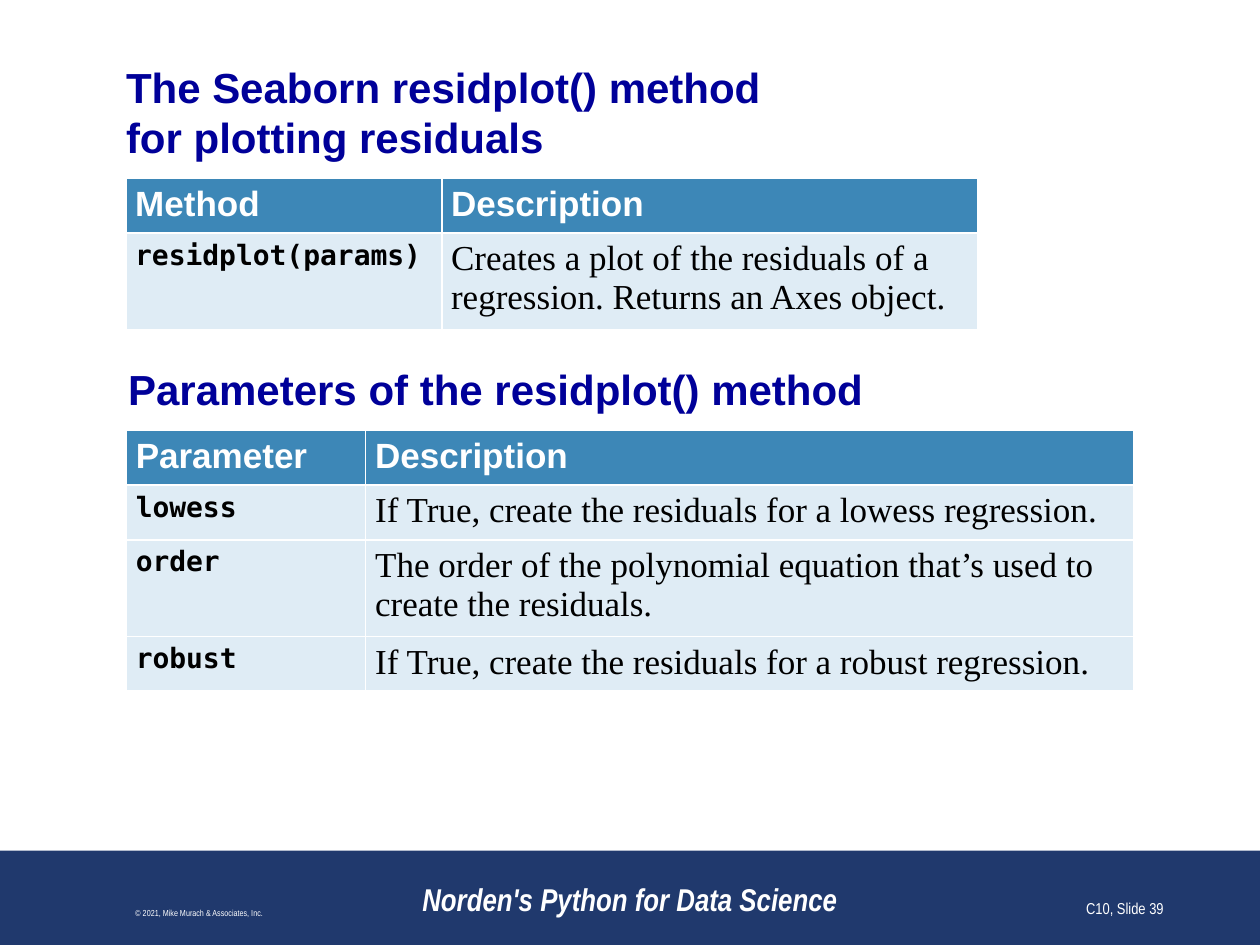
from lxml import etree
from pptx import Presentation
from pptx.dml.color import RGBColor
from pptx.enum.shapes import MSO_SHAPE
from pptx.enum.text import MSO_ANCHOR, MSO_AUTO_SIZE, PP_ALIGN
from pptx.oxml.ns import qn
from pptx.util import Pt

LEFT, CENTER, RIGHT = PP_ALIGN.LEFT, PP_ALIGN.CENTER, PP_ALIGN.RIGHT
TOP, MIDDLE, BOTTOM = MSO_ANCHOR.TOP, MSO_ANCHOR.MIDDLE, MSO_ANCHOR.BOTTOM
RECTANGLE = MSO_SHAPE.RECTANGLE
NO_AUTOFIT = MSO_AUTO_SIZE.NONE

COLORS = {"band": "20396D", "heading": "000099", "header": "3D87B7",
          "row": "DFECF5", "white": "FFFFFF", "black": "000000"}

FORMATS = {
    "heading": dict(name="Arial", size=Pt(24), bold=True, color="heading"),
    "header": dict(name="Arial", size=Pt(20), bold=True, color="white"),
    "code": dict(name="DejaVu Sans Mono", size=Pt(16), bold=True, color="black"),
    "text": dict(name="Times New Roman", size=Pt(20), bold=False, color="black"),
    "book": dict(name="Arial Narrow", size=Pt(18), bold=True, italic=True, color="white"),
    "copyright": dict(name="Arial Narrow", size=Pt(5), color="white"),
    "number": dict(name="Arial Narrow", size=Pt(9), color="white"),
}

METHOD_ROWS = [
    ("Method", "Description"),
    ("residplot(params)",
     "Creates a plot of the residuals of a regression. Returns an Axes object."),
]
PARAMETER_ROWS = [
    ("Parameter", "Description"),
    ("lowess", "If True, create the residuals for a lowess regression."),
    ("order", "The order of the polynomial equation that’s used to create the residuals."),
    ("robust", "If True, create the residuals for a robust regression."),
]


def color(name):
    return RGBColor.from_string(COLORS[name])


def paint(shape, name):
    shape.fill.solid()
    shape.fill.fore_color.rgb = color(name)


def write(frame, text, style, align=LEFT):
    frame.word_wrap = True
    para = frame.paragraphs[0]
    para.text = text
    para.alignment = align
    para.space_before = Pt(0)
    for span in para.runs:
        for key, value in FORMATS[style].items():
            if key == "color":
                span.font.color.rgb = color(value)
            else:
                setattr(span.font, key, value)
    return para


def place(shape, box):
    for key, value in zip(("left", "top", "width", "height"), box):
        setattr(shape, key, Pt(value))


def add_heading(holder, box, text, anchor, inset):
    """Move a placeholder into the box and write an unbulleted heading."""
    place(holder, box)
    frame = holder.text_frame
    frame.auto_size = NO_AUTOFIT
    frame.vertical_anchor = anchor
    for side, value in zip(("left", "top", "right", "bottom"), inset):
        setattr(frame, f"margin_{side}", Pt(value))
    para = write(frame, text, "heading")
    properties = para._p.get_or_add_pPr()
    properties.set("marL", "0")
    properties.set("indent", "0")
    etree.SubElement(properties, qn("a:buNone"))


def add_grid(page, box, widths, heights, rows, side_margin):
    """Table with a header row and a code column."""
    table = page.shapes.add_table(len(rows), len(widths), *map(Pt, box)).table
    for column, width in zip(table.columns, widths):
        column.width = Pt(width)
    for row, height in zip(table.rows, heights):
        row.height = Pt(height)
    for r, texts in enumerate(rows):
        for c, text in enumerate(texts):
            cell = table.cell(r, c)
            cell.margin_left = cell.margin_right = Pt(side_margin)
            paint(cell, "row" if r else "header")
            write(cell.text_frame, text, ("code", "text")[c] if r else "header")


def add_footer(page, box):
    """Dark band with copyright, book title and slide number."""
    left, top, width, height = box
    band = page.shapes.add_shape(RECTANGLE, *map(Pt, box))
    band.shadow.inherit = False
    paint(band, "band")
    band.line.fill.background()
    labels = [
        (216, 288, "Norden's Python for Data Science", "book", CENTER),
        (6, 216, "© 2021, Mike Murach & Associates, Inc.", "copyright", CENTER),
        (522, 150, "C10, Slide 39", "number", RIGHT),
    ]
    for offset, label_width, text, style, align in labels:
        label = page.shapes.add_textbox(
            Pt(left + offset), Pt(top + 6), Pt(label_width), Pt(36))
        label.text_frame.vertical_anchor = BOTTOM
        write(label.text_frame, text, style, align)


def main():
    deck = Presentation()
    deck.slide_width, deck.slide_height = Pt(720), Pt(540)
    page = deck.slides.add_slide(deck.slide_layouts[1])
    title, body = page.placeholders[0], page.placeholders[1]

    add_footer(page, (0, 486, 720, 54))

    # Method section
    add_heading(title, (72, 34.5, 576, 58.5),
                "The Seaborn residplot() method \vfor plotting residuals",
                MIDDLE, (0, 0, 0, 0))
    add_grid(page, (72, 102, 486.5, 81.5), (180.5, 306), (29.5, 52),
             METHOD_ROWS, 5.3)

    # Parameter section
    add_heading(body, (66, 204, 582, 37.5), "Parameters of the residplot() method",
                TOP, (7.2, 3.6, 7.2, 3.6))
    paint(body, "white")
    add_grid(page, (72, 246, 576, 140), (136.8, 439.2), (29.5, 29.5, 52, 29.5),
             PARAMETER_ROWS, 5.6)

    deck.save("out.pptx")


if __name__ == "__main__":
    main()
